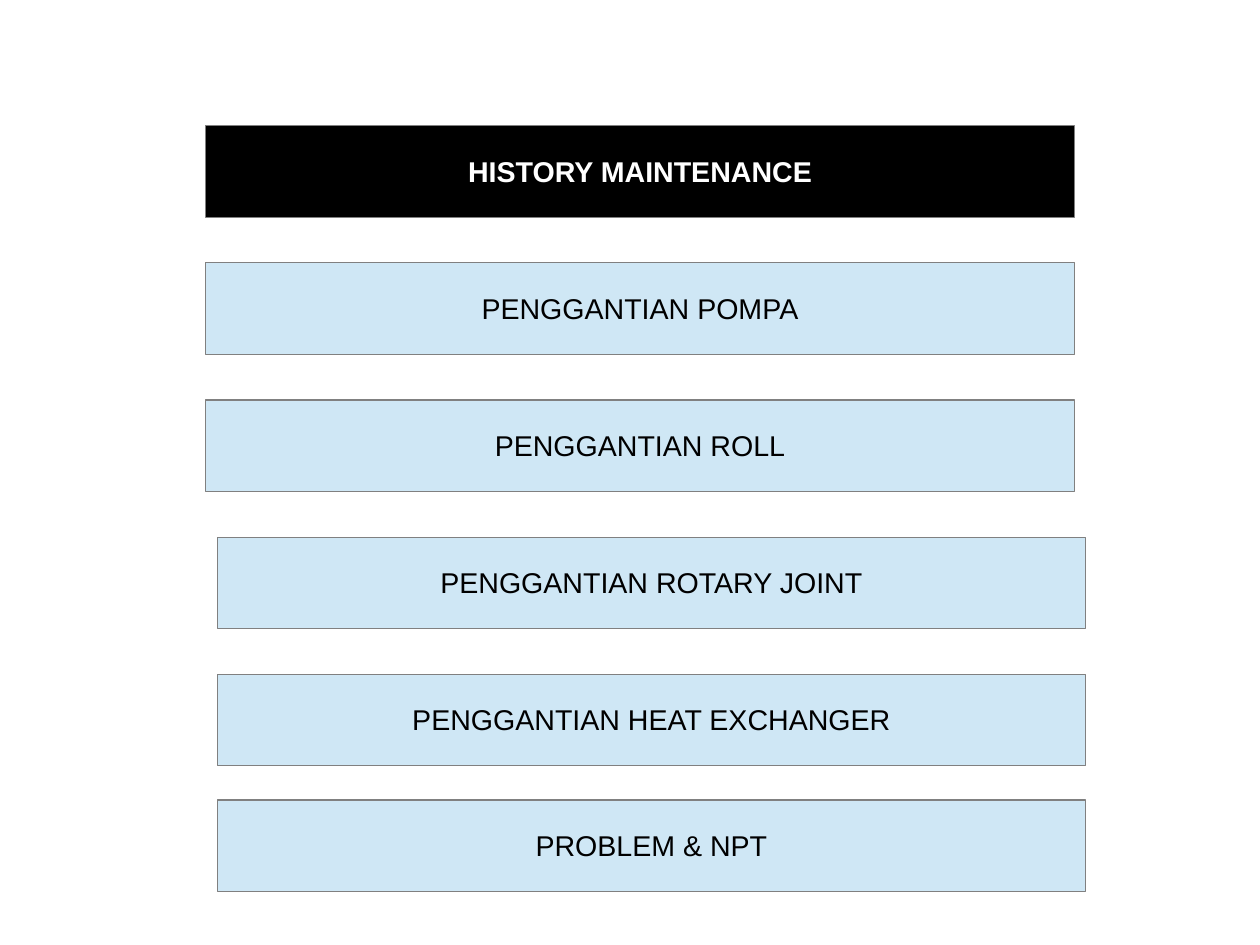
from pptx import Presentation, util as u
from pptx.dml.color import RGBColor
from pptx.enum import shapes, text

HUES = {"black": "000000", "white": "FFFFFF", "pale": "CFE7F5", "gray": "808080"}
FONT = "Arial"
LEFT, TOP, WIDE, HIGH, STEP = 1.8, 1.1, 7.6, 0.8, 1.2
SHIFT = 0.1
TITLE = "HISTORY MAINTENANCE"
ITEMS = [
    ("PENGGANTIAN POMPA", 0, 0),
    ("PENGGANTIAN ROLL", 0, 0),
    ("PENGGANTIAN ROTARY JOINT", SHIFT, 0),
    ("PENGGANTIAN HEAT EXCHANGER", SHIFT, 0),
    ("PROBLEM & NPT", SHIFT, -SHIFT),
]


def hue(name):
    """Return the named colour."""
    return RGBColor.from_string(HUES[name])


def write(shape, words, color="black", size=18, bold=False):
    """Put centred, formatted text into a shape."""
    frame = shape.text_frame
    frame.text = words
    frame.word_wrap = True
    frame.auto_size = text.MSO_AUTO_SIZE.NONE
    frame.vertical_anchor = text.MSO_ANCHOR.MIDDLE
    frame.margin_left = frame.margin_right = u.Inches(0.1)
    frame.margin_top, frame.margin_bottom = u.Inches(0.07), u.Inches(0.05)
    para = frame.paragraphs[0]
    para.alignment = text.PP_ALIGN.CENTER
    para.line_spacing = 0.93
    font = para.runs[0].font
    font.name, font.size, font.bold = FONT, u.Pt(size), bold
    font.color.rgb = hue(color)


def paint(shape, fill):
    """Give a bar its fill and thin gray outline."""
    shape.fill.solid()
    shape.fill.fore_color.rgb = hue(fill)
    shape.line.color.rgb = hue("gray")
    shape.line.width = u.Pt(0.75)


def head(slide, box):
    """Place the title placeholder as the black bar."""
    bar = slide.shapes.title
    bar.left, bar.top, bar.width, bar.height = map(u.Inches, box)
    paint(bar, "black")
    write(bar, TITLE, color="white", bold=True)


def menu(slide, box):
    """Stack the item bars down from the first one's box."""
    left, top, wide, high = box
    for row, (words, right, down) in enumerate(ITEMS):
        spot = (left + right, top + row * STEP + down, wide, high)
        bar = slide.shapes.add_shape(
            shapes.MSO_SHAPE.ROUNDED_RECTANGLE, *map(u.Inches, spot))
        bar.adjustments[0] = 0
        bar.shadow.inherit = False
        paint(bar, "pale")
        write(bar, words)


def main():
    """Build and save the slide."""
    deck = Presentation()
    deck.slide_width, deck.slide_height = u.Cm(28), u.Cm(21)
    slide = deck.slides.add_slide(deck.slide_layouts[5])
    head(slide, (LEFT, TOP, WIDE, HIGH))
    menu(slide, (LEFT, TOP + STEP, WIDE, HIGH))
    deck.save("out.pptx")


if __name__ == "__main__":
    main()
